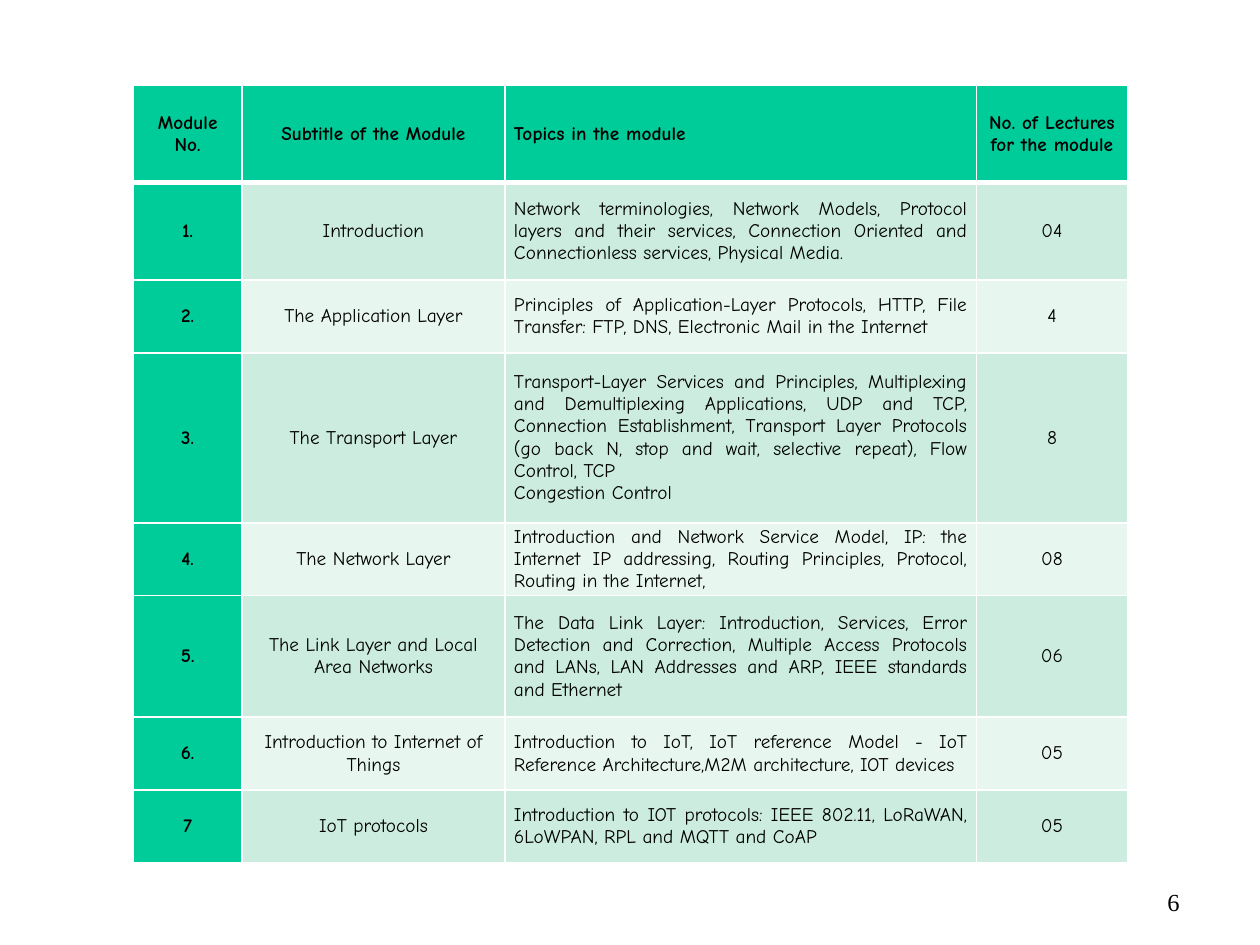
from dataclasses import dataclass

from lxml import etree
from pptx import Presentation
from pptx.dml.color import RGBColor
from pptx.enum.text import MSO_ANCHOR, PP_ALIGN
from pptx.oxml.ns import qn
from pptx.util import Inches, Pt

CENTER, JUSTIFY, RIGHT = PP_ALIGN.CENTER, PP_ALIGN.JUSTIFY, PP_ALIGN.RIGHT
MIDDLE = MSO_ANCHOR.MIDDLE


@dataclass(frozen=True)
class Theme:
    accent: str = "00CC99"
    bands: tuple = ("CBECDE", "E7F6EF")
    rule: str = "FFFFFF"
    ink: str = "000000"
    table_font: str = "Comic Neue"
    table_size: int = 11
    number_font: str = "Times New Roman"
    number_size: int = 14
    thin: int = 1
    thick: int = 3


THEME = Theme()

# Content
HEADER = ("Module No.", "Subtitle of the Module", "Topics in the module",
          "No. of Lectures for the module")
MODULES = [
    ("1.", "Introduction",
     "Network terminologies, Network Models, Protocol layers and their services, "
     "Connection Oriented and Connectionless services, Physical Media.", "04"),
    ("2.", "The Application Layer",
     "Principles of Application-Layer Protocols, HTTP, File Transfer: FTP, DNS, "
     "Electronic Mail in the Internet", "4"),
    ("3.", "The Transport Layer",
     "Transport-Layer Services and Principles, Multiplexing and Demultiplexing "
     "Applications, UDP and TCP, Connection Establishment, Transport Layer Protocols "
     "(go back N, stop and wait, selective repeat), Flow Control, TCP\n"
     "Congestion Control", "8"),
    ("4.", "The Network Layer",
     "Introduction and Network Service Model, IP: the Internet IP addressing, "
     "Routing Principles, Protocol, Routing in the Internet,", "08"),
    ("5.", "The Link Layer and Local Area Networks",
     "The Data Link Layer: Introduction, Services, Error Detection and Correction, "
     "Multiple Access Protocols and LANs, LAN Addresses and ARP, IEEE standards "
     "and Ethernet", "06"),
    ("6.", "Introduction to Internet of Things",
     "Introduction to IoT, IoT reference Model - IoT Reference Architecture,"
     "M2M architecture, IOT devices", "05"),
    ("7", "IoT protocols",
     "Introduction to IOT protocols: IEEE 802.11, LoRaWAN, 6LoWPAN, RPL and MQTT "
     "and CoAP", "05"),
]
PAGE_NUMBER = "6"

# Grid: row heights follow the number of text lines each row makes room for
SLIDE_W, SLIDE_H = Inches(10), Inches(7.5)
TABLE_LEFT, TABLE_TOP = Inches(1.06), Inches(0.68)
TABLE_W = Inches(7.89)
COLUMN_SHARES = (0.86, 2.09, 3.74, 1.2)
LINE_H = Inches(0.19)
ROW_LINES = (4, 4, 3, 7, 3, 5, 3, 3)
TABLE_H = Inches(6.17)
ALIGNMENTS = (CENTER, CENTER, JUSTIFY, CENTER)
CELL_FORMAT = {"margin_left": Inches(0.07), "margin_right": Inches(0.07),
               "margin_top": 0, "margin_bottom": 0, "vertical_anchor": MIDDLE}


def set_format(target, values):
    for attribute, value in values.items():
        setattr(target, attribute, value)


def style_text(paragraph, align, name, size, bold=False):
    paragraph.alignment = align
    for run in paragraph.runs:
        set_format(run.font, {"name": name, "size": Pt(size), "bold": bold})
        run.font.color.rgb = RGBColor.from_string(THEME.ink)


def add_borders(cell, top, bottom):
    properties = cell._tc.get_or_add_tcPr()
    widths = {"lnL": THEME.thin, "lnR": THEME.thin, "lnT": top, "lnB": bottom}
    for side, width in widths.items():
        line = etree.SubElement(properties, qn(f"a:{side}"), w=str(Pt(width)))
        fill = etree.SubElement(line, qn("a:solidFill"))
        etree.SubElement(fill, qn("a:srgbClr"), val=THEME.rule)


def fill_cell(cell, text, row, column):
    is_heading = row == 0 or column == 0
    cell.text = text
    set_format(cell, CELL_FORMAT)
    for paragraph in cell.text_frame.paragraphs:
        style_text(paragraph, ALIGNMENTS[column], THEME.table_font,
                   THEME.table_size, is_heading)
    add_borders(cell, top=THEME.thick if row == 1 else THEME.thin,
                bottom=THEME.thick if row == 0 else THEME.thin)
    color = THEME.accent if is_heading else THEME.bands[(row - 1) % 2]
    cell.fill.solid()
    cell.fill.fore_color.rgb = RGBColor.from_string(color)


def add_module_table(slide):
    rows = [HEADER, *MODULES]
    table = slide.shapes.add_table(len(rows), len(HEADER), TABLE_LEFT, TABLE_TOP,
                                   TABLE_W, TABLE_H).table
    for column, share in zip(table.columns, COLUMN_SHARES):
        column.width = int(TABLE_W * share / sum(COLUMN_SHARES))
    for row, lines in zip(table.rows, ROW_LINES):
        row.height = int(TABLE_H * lines / sum(ROW_LINES))
    for r, texts in enumerate(rows):
        for c, text in enumerate(texts):
            fill_cell(table.cell(r, c), text, r, c)


def add_page_number(slide):
    box = slide.shapes.add_textbox(Inches(8.78), Inches(6.99), Inches(0.68), Inches(0.5))
    box.text_frame.word_wrap = True
    box.text_frame.text = PAGE_NUMBER
    style_text(box.text_frame.paragraphs[0], RIGHT, THEME.number_font, THEME.number_size)


def main():
    deck = Presentation()
    deck.slide_width, deck.slide_height = SLIDE_W, SLIDE_H
    slide = deck.slides.add_slide(deck.slide_layouts[6])
    add_page_number(slide)
    add_module_table(slide)
    deck.save("out.pptx")


if __name__ == "__main__":
    main()
